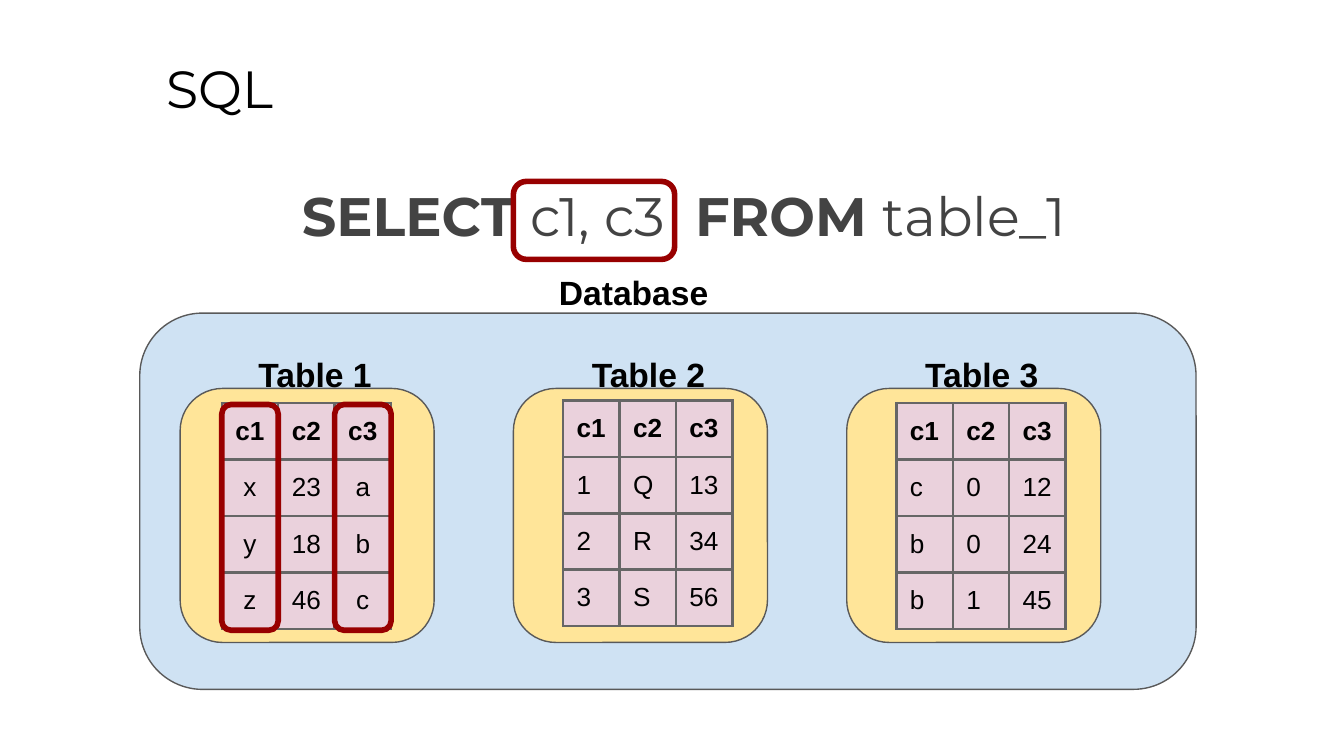
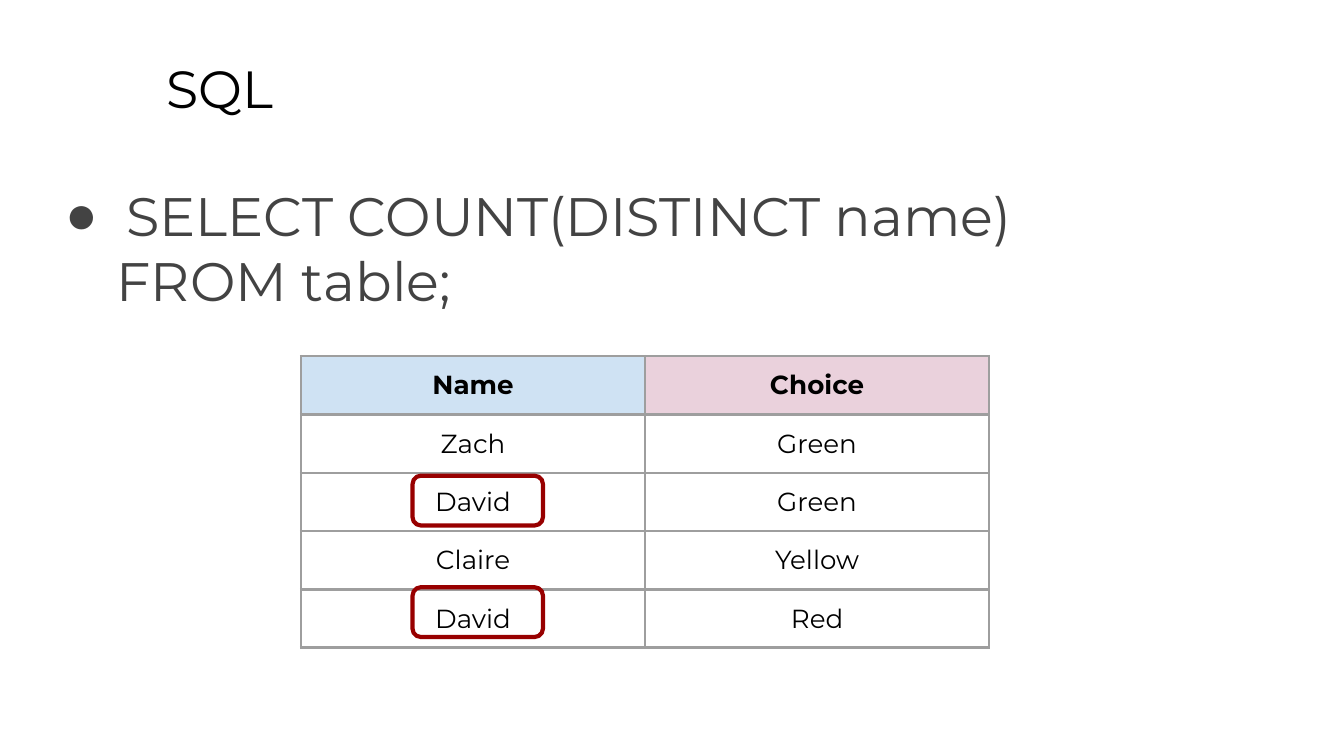
from dataclasses import dataclass

from lxml import etree
from pptx import Presentation
from pptx.dml.color import RGBColor
from pptx.enum.shapes import MSO_SHAPE
from pptx.enum.text import MSO_ANCHOR, PP_ALIGN
from pptx.oxml.ns import qn
from pptx.util import Emu, Pt

ROUND = MSO_SHAPE.ROUNDED_RECTANGLE
TOP = MSO_ANCHOR.TOP
LEFT, MID = PP_ALIGN.LEFT, PP_ALIGN.CENTER
SCALE = 9144
PAD = 10
WIDE = 1000
TITLE = (114, 32, 852, 63)
BODY = (34, 126, 950, 374)


@dataclass(frozen=True)
class Theme:
    """Colours, fonts and type sizes of the deck."""
    black: str = "000000"
    ink: str = "434343"
    edge: str = "595959"
    grid: str = "666666"
    pale: str = "9E9E9E"
    blue: str = "CFE2F3"
    gold: str = "FFE599"
    pink: str = "EAD1DC"
    red: str = "980000"
    sans: str = "Arial"
    brand: str = "Montserrat"
    head: int = 28
    code: int = 29
    label: int = 18
    cell: int = 14


THEME = Theme()


def px(num):
    """Turn px into EMU."""
    return Emu(num * SCALE)


def rgb(code):
    """Turn a hex code into a colour."""
    return RGBColor.from_string(code)


def add_run(para, text, font, size, color, bold=False, gap=0):
    """Add one styled run, with extra letter spacing if asked."""
    run = para.add_run()
    run.text = text
    run.font.name = font
    run.font.size = Pt(size)
    run.font.bold = bold
    run.font.color.rgb = rgb(color)
    if gap:
        run.font._element.set("spc", str(gap))


def add_box(slide, box):
    """Add a wrapping text box and return its frame."""
    frame = slide.shapes.add_textbox(*map(px, box)).text_frame
    frame.word_wrap = True
    frame.vertical_anchor = TOP
    frame.margin_left = frame.margin_right = px(PAD)
    frame.margin_top = frame.margin_bottom = px(PAD)
    return frame


def add_title(slide, text):
    """Add the slide title."""
    para = add_box(slide, TITLE).paragraphs[0]
    add_run(para, text, THEME.brand, THEME.head, THEME.black)


def add_label(slide, box, text):
    """Add a bold centred label."""
    para = add_box(slide, box).paragraphs[0]
    para.alignment = MID
    add_run(para, text, THEME.sans, THEME.label, THEME.black, True)


def add_panel(slide, box, line, width, fill=None):
    """Add a rounded panel, or a ring when there is no fill."""
    shape = slide.shapes.add_shape(ROUND, *map(px, box))
    shape.shadow.inherit = False
    shape.line.color.rgb = rgb(line)
    shape.line.width = Pt(width)
    if fill:
        shape.fill.solid()
        shape.fill.fore_color.rgb = rgb(fill)
    else:
        shape.fill.background()


def add_edges(cell, color):
    """Draw the four borders of a cell."""
    props = cell._tc.get_or_add_tcPr()
    for side in ("lnL", "lnR", "lnT", "lnB"):
        line = etree.SubElement(props, qn(f"a:{side}"), w=str(Pt(1.5)))
        fill = etree.SubElement(line, qn("a:solidFill"))
        etree.SubElement(fill, qn("a:srgbClr"), val=color)


def add_grid(slide, spot, rows, size, font, line, align, heads,
             fill=None, foot=PAD):
    """Add a table with a bold head row."""
    wide, high = size
    count = len(rows[0])
    box = (*spot, wide * count, high * len(rows))
    table = slide.shapes.add_table(len(rows), count, *map(px, box)).table
    table.first_row = table.horz_banding = False
    for col in table.columns:
        col.width = px(wide)
    for i, row in enumerate(rows):
        table.rows[i].height = px(high)
        for j, text in enumerate(row):
            cell = table.cell(i, j)
            cell.margin_left = cell.margin_right = px(PAD)
            cell.margin_top, cell.margin_bottom = px(PAD), px(foot)
            add_edges(cell, line)
            tint = fill if i else heads[j]
            if tint:
                cell.fill.solid()
                cell.fill.fore_color.rgb = rgb(tint)
            else:
                cell.fill.background()
            para = cell.text_frame.paragraphs[0]
            para.alignment = align
            add_run(para, text, font, THEME.cell, THEME.black, i == 0)


def add_query(slide, box):
    """Add the SELECT line."""
    para = add_box(slide, box).paragraphs[0]
    para.alignment = MID
    parts = (("SELECT ", True, 0), ("c1, c3", False, 0), (" ", True, 800),
             ("FROM ", True, 0), ("table_1", False, 0))
    for text, bold, gap in parts:
        add_run(para, text, THEME.brand, THEME.code, THEME.ink, bold, gap)


def add_card(slide, box, name, rows, shift, align):
    """Add a gold card with its label and table."""
    x, y, _, _ = box
    add_panel(slide, box, THEME.edge, 0.75, THEME.gold)
    add_label(slide, (x - 16, y - 36, 233, 48), name)
    dx, dy = shift
    add_grid(slide, (x + dx, y + dy), rows, (42, 42), THEME.sans,
             THEME.grid, align, [THEME.pink] * 3, THEME.pink, 8)


def add_store(slide, box):
    """Add the database panel with its three cards."""
    x, y, _, _ = box
    add_panel(slide, box, THEME.edge, 0.75, THEME.blue)
    add_label(slide, (x + 251, y - 41, 233, 48), "Database")
    head = ("c1", "c2", "c3")
    cards = (
        ((("x", "23", "a"), ("y", "18", "b"), ("z", "46", "c")), (31, 11), MID),
        ((("1", "Q", "13"), ("2", "R", "34"), ("3", "S", "56")), (37, 9), LEFT),
        ((("c", "0", "12"), ("b", "0", "24"), ("b", "1", "45")), (37, 11), LEFT),
    )
    for i, (rows, shift, align) in enumerate(cards):
        add_card(slide, (x + 30 + 248 * i, y + 56, 189, 189),
                 f"Table {i + 1}", (head, *rows), shift, align)
    for col in (0, 2):
        add_panel(slide, (x + 61 + 42 * col, y + 68, 42, 168), THEME.red, 3)


def add_count(slide, box):
    """Add the bulleted COUNT query."""
    frame = add_box(slide, box)
    lines = (("SELECT COUNT(DISTINCT name)", 50, -45), ("FROM table;", 43, 0))
    for i, (text, left, hang) in enumerate(lines):
        para = frame.add_paragraph() if i else frame.paragraphs[0]
        props = para._p.get_or_add_pPr()
        props.set("marL", str(px(left)))
        props.set("indent", str(px(hang)))
        if hang:
            tint = etree.SubElement(props, qn("a:buClr"))
            etree.SubElement(tint, qn("a:srgbClr"), val=THEME.ink)
            etree.SubElement(props, qn("a:buFont"), typeface=THEME.sans)
            etree.SubElement(props, qn("a:buChar"), char="●")
        add_run(para, text, THEME.brand, THEME.code, THEME.ink)


def add_votes(slide, spot):
    """Add the table of choices with the repeated name ringed."""
    x, y = spot
    rows = (("Name", "Choice"), ("Zach", "Green"), ("David", "Green"),
            ("Claire", "Yellow"), ("David", "Red"))
    add_grid(slide, spot, rows, (256, 42), THEME.brand, THEME.pale, MID,
             (THEME.blue, THEME.pink))
    for dy in (89, 172):
        add_panel(slide, (x + 83, y + dy, 97, 37), THEME.red, 2.25)


def add_select(slide):
    """Build the slide on choosing columns."""
    add_title(slide, "SQL")
    add_query(slide, BODY)
    add_store(slide, (104, 233, 786, 280))
    add_panel(slide, (382, 135, 120, 58), THEME.red, 3)


def add_unique(slide):
    """Build the slide on counting distinct names."""
    add_title(slide, "SQL")
    add_count(slide, BODY)
    add_votes(slide, (224, 265))


def main():
    """Build and save the deck."""
    deck = Presentation()
    deck.slide_width = px(WIDE)
    deck.slide_height = Emu(px(WIDE) * 9 // 16)
    blank = deck.slide_layouts[6]
    for build in (add_select, add_unique):
        build(deck.slides.add_slide(blank))
    deck.save("out.pptx")


if __name__ == "__main__":
    main()
